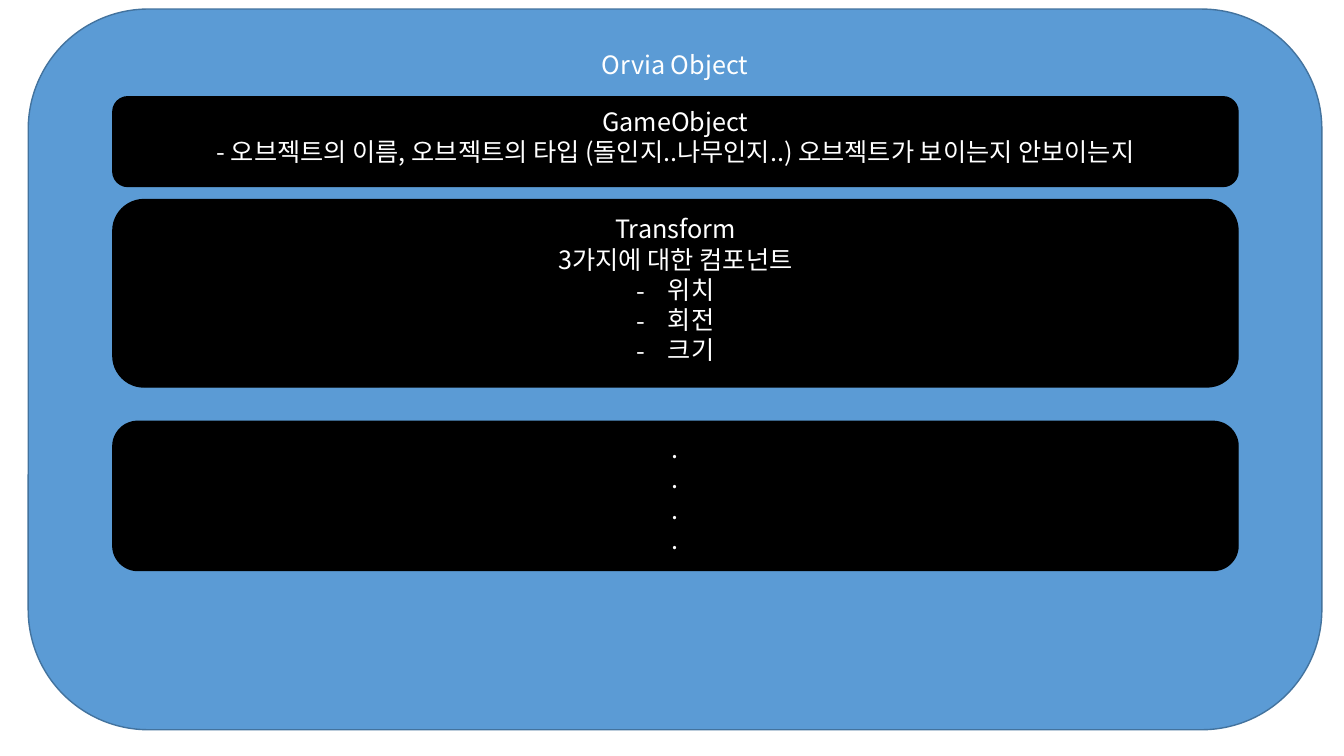
from lxml import etree
from pptx import Presentation
from pptx import util as u
from pptx.dml.color import RGBColor
from pptx.enum import shapes, text
from pptx.oxml.ns import qn

BLUE = RGBColor(0x5B, 0x9B, 0xD5)
DARK_BLUE = RGBColor(0x43, 0x73, 0x9E)
BLACK = RGBColor(0, 0, 0)
WHITE = RGBColor(0xFF, 0xFF, 0xFF)
FONT = "Noto Sans CJK KR"
FRAME_FORMAT = {"word_wrap": True, "vertical_anchor": text.MSO_ANCHOR.TOP}
PARAGRAPH_FORMAT = {"alignment": text.PP_ALIGN.CENTER, "line_spacing": u.Pt(21.6)}
FONT_FORMAT = {"name": FONT, "size": u.Pt(18)}
BULLET = "- "

presentation = Presentation()
presentation.slide_width = u.Inches(13.33)
presentation.slide_height = u.Inches(7.5)
slide = presentation.slides.add_slide(presentation.slide_layouts[6])
column = presentation.slide_width / 100
row = presentation.slide_height / 100

INNER_LEFT, INNER_WIDTH = 8.4, 83.72
boxes = [
    (2.1, 1.2, 96.25, 95.33, BLUE, DARK_BLUE, ["Orvia Object"]),
    (INNER_LEFT, 12.8, INNER_WIDTH, 11.87, BLACK, BLACK, [
        "GameObject",
        "-\u00a0오브젝트의 이름, 오브젝트의 타입 (돌인지..나무인지..) 오브젝트가 보이는지 안보이는지",
    ]),
    (INNER_LEFT, 26.4, INNER_WIDTH, 24.8, BLACK, BLACK, [
        "Transform", "3가지에 대한 컴포넌트",
        BULLET + "위치", BULLET + "회전", BULLET + "크기",
    ]),
    (INNER_LEFT, 55.73, INNER_WIDTH, 19.73, BLACK, BLACK, ["."] * 4),
]

for left, top, width, height, fill, line, lines in boxes:
    shape = slide.shapes.add_shape(
        shapes.MSO_SHAPE.ROUNDED_RECTANGLE,
        round(left * column), round(top * row),
        round(width * column), round(height * row))
    shape.shadow.inherit = False
    shape.fill.solid()
    shape.fill.fore_color.rgb = fill
    shape.line.color.rgb = line
    shape.line.width = u.Pt(1)
    frame = shape.text_frame
    for name, value in FRAME_FORMAT.items():
        setattr(frame, name, value)
    for index, content in enumerate(lines):
        paragraph = frame.add_paragraph() if index else frame.paragraphs[0]
        for name, value in PARAGRAPH_FORMAT.items():
            setattr(paragraph, name, value)
        run = paragraph.add_run()
        run.text = content.removeprefix(BULLET)
        for name, value in FONT_FORMAT.items():
            setattr(run.font, name, value)
        run.font.color.rgb = WHITE
        etree.SubElement(run.font._element, qn("a:ea"), typeface=FONT)
        if content.startswith(BULLET):
            properties = paragraph._p.get_or_add_pPr()
            properties.set("marL", str(u.Inches(0.31)))
            properties.set("indent", str(-u.Inches(0.31)))
            etree.SubElement(properties, qn("a:buFont"), typeface=FONT)
            etree.SubElement(properties, qn("a:buChar"), char="-")

presentation.save("out.pptx")
